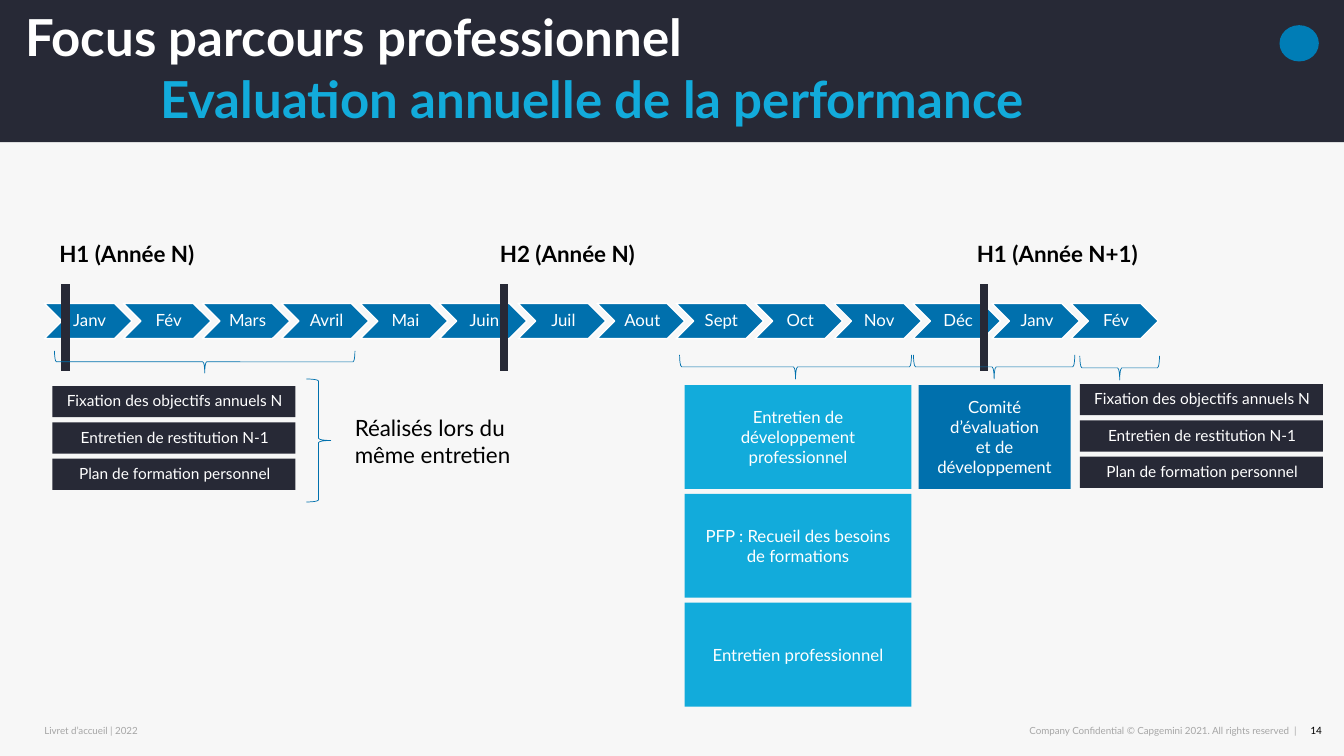
from lxml import etree
from pptx import Presentation
from pptx.dml.color import RGBColor
from pptx.enum.shapes import MSO_CONNECTOR, MSO_SHAPE
from pptx.enum.text import MSO_ANCHOR, MSO_AUTO_SIZE, PP_ALIGN
from pptx.oxml.ns import qn
from pptx.util import Inches, Pt

RECTANGLE, CHEVRON = MSO_SHAPE.RECTANGLE, MSO_SHAPE.CHEVRON
BRACE, OVAL = MSO_SHAPE.RIGHT_BRACE, MSO_SHAPE.OVAL
STRAIGHT = MSO_CONNECTOR.STRAIGHT
LEFT, CENTER, RIGHT = PP_ALIGN.LEFT, PP_ALIGN.CENTER, PP_ALIGN.RIGHT
TOP, MIDDLE = MSO_ANCHOR.TOP, MSO_ANCHOR.MIDDLE
NO_AUTOFIT = MSO_AUTO_SIZE.NONE

COLORS = {
    "navy": "272936", "blue": "0070AD", "sky": "12ABDB", "haze": "ECECEC",
    "logo": "007DB6", "white": "FFFFFF", "black": "000000", "gray": "A6A6A6",
}
WIDTH, HEIGHT = 13.33, 7.5
MONTHS = ["Janv", "Fév", "Mars", "Avril", "Mai", "Juin", "Juil", "Aout",
          "Sept", "Oct", "Nov", "Déc", "Janv", "Fév"]
HALF_YEARS = [("H1 (Année N)", 0.49, 0.65), ("H2 (Année N)", 4.86, 5.0),
              ("H1 (Année N+1)", 9.59, 9.76)]
INTERVIEW_STEPS = ["Fixation des objectifs annuels N", "Entretien de restitution N-1",
                   "Plan de formation personnel"]
AUTUMN_STEPS = ["Entretien de développement professionnel",
                "PFP : Recueil des besoins de formations", "Entretien professionnel"]


def color(name):
    return RGBColor.from_string(COLORS[name])


def write(shape, text, size=12, ink="white", bold=False, align=CENTER, anchor=MIDDLE,
          margins=(0.1, 0.05, 0.1, 0.05), font="Lato", line_spacing=None, space_after=None):
    """Fill a shape with text, one paragraph per line."""
    frame = shape.text_frame
    frame.text = text
    frame.word_wrap = True
    frame.auto_size = NO_AUTOFIT
    frame.vertical_anchor = anchor
    frame.margin_left, frame.margin_top, frame.margin_right, frame.margin_bottom = map(
        Inches, margins)
    for paragraph in frame.paragraphs:
        paragraph.alignment = align
        if line_spacing:
            paragraph.line_spacing = line_spacing
        if space_after:
            paragraph.space_after = Pt(space_after)
        paragraph.font.size = Pt(size)
        paragraph.font.name = font
        paragraph.font.bold = bold
        paragraph.font.color.rgb = color(ink)
    return shape


def add_text(slide, box, text, **style):
    return write(slide.shapes.add_textbox(*map(Inches, box)), text, **style)


def add_block(slide, kind, box, fill=None, line=None, line_width=1):
    shape = slide.shapes.add_shape(kind, *map(Inches, box))
    shape.shadow.inherit = False
    if fill:
        shape.fill.solid()
        shape.fill.fore_color.rgb = color(fill)
    else:
        shape.fill.background()
    if line:
        shape.line.color.rgb = color(line)
        shape.line.width = Pt(line_width)
    else:
        shape.line.fill.background()
    return shape


def add_brace_below(slide, left, top, width, depth):
    """Brace spanning the given width, with its tip pointing down."""
    box = (left + (width - depth) / 2, top + (depth - width) / 2, depth, width)
    add_block(slide, BRACE, box, line="blue", line_width=0.5).rotation = 90


def add_backdrop(slide):
    haze = add_block(slide, RECTANGLE, (0, 0, WIDTH, HEIGHT), "haze")
    haze_color = haze.element.spPr.find(qn("a:solidFill"))[0]
    etree.SubElement(haze_color, qn("a:alpha")).set("val", "40000")


def add_header(slide, left, top, width, height):
    add_block(slide, RECTANGLE, (left, top, width, height), "navy")
    add_block(slide, OVAL, (left + 12.69, top + 0.25, 0.39, 0.36), "logo")
    title = slide.shapes.title
    title.left, title.top = Inches(left + 0.14), Inches(top + 0.05)
    title.width, title.height = Inches(11.51), Inches(1.24)
    write(title, "Focus parcours professionnel\nEvaluation annuelle de la performance",
          size=36.4, bold=True, align=LEFT, anchor=TOP, margins=(0, 0.01, 0, 0))
    first, second = title.text_frame.paragraphs
    second.font.color.rgb = color("sky")
    for paragraph, indent in ((first, 0.11), (second, 1.45)):
        paragraph.space_before = Pt(0)
        properties = paragraph._p.get_or_add_pPr()
        properties.set("marL", str(Inches(indent)))
        properties.set("indent", "0")
    # Bring the title in front of the band
    title.element.getparent().append(title.element)


def add_timeline(slide, left, top, width, height):
    month_width = 0.87
    step = (width - month_width) / (len(MONTHS) - 1)
    for index, month in enumerate(MONTHS):
        box = (left + index * step, top, month_width, height)
        chevron = add_block(slide, CHEVRON, box, "blue", "white")
        write(chevron, month, margins=(0.05, 0.02, 0.02, 0.02),
              line_spacing=0.9, space_after=5)
    # Half-year markers
    for label, label_left, marker in HALF_YEARS:
        add_text(slide, (label_left, top - 0.68, 2.56, 0.37), label, size=16,
                 ink="black", bold=True, align=LEFT, anchor=TOP)
        bar = slide.shapes.add_connector(STRAIGHT, Inches(marker), Inches(top - 0.19),
                                         Inches(marker), Inches(top + 0.67))
        bar.line.color.rgb = color("navy")
        bar.line.width = Pt(6)
        etree.SubElement(bar.element.spPr, qn("a:effectLst"))


def add_interview(slide, left, top):
    for index, step in enumerate(INTERVIEW_STEPS):
        bar = add_block(slide, RECTANGLE, (left, top + index * 0.36, 2.41, 0.31), "navy")
        write(bar, step, size=11, margins=(0.1, 0, 0.08, 0.02))


def add_interview_note(slide, left, top):
    add_block(slide, BRACE, (left, top, 0.24, 1.22), line="blue", line_width=0.5)
    add_text(slide, (left + 0.38, top + 0.3, 2.25, 0.64), "Réalisés lors du même entretien",
             size=16, ink="black", align=LEFT, anchor=TOP)


def add_autumn(slide, left, top):
    for index, step in enumerate(AUTUMN_STEPS):
        box = (left, top + index * 1.08, 2.25, 1.03)
        write(add_block(slide, RECTANGLE, box, "sky"), step)
    committee = add_block(slide, RECTANGLE, (left + 2.32, top, 1.51, 1.03), "blue")
    write(committee, "Comité d’évaluation\net de développement")


def add_footer(slide, top):
    small = {"size": 7, "ink": "gray", "margins": (0, 0, 0, 0)}
    add_text(slide, (0.44, top, 3.73, 0.24), "Livret d’accueil | 2022", align=LEFT, **small)
    add_text(slide, (7.9, top, 4.96, 0.24),
             "Company Confidential © Capgemini 2021. All rights reserved  |",
             align=RIGHT, **small)
    add_text(slide, (12.5, top, 0.61, 0.24), "14", size=8, ink="black", font="Calibri",
             align=RIGHT, anchor=TOP, margins=(0, 0.05, 0, 0.05))


def main():
    presentation = Presentation()
    presentation.slide_width, presentation.slide_height = Inches(WIDTH), Inches(HEIGHT)
    slide = presentation.slides.add_slide(presentation.slide_layouts[5])
    add_backdrop(slide)
    add_header(slide, 0, 0, WIDTH, 1.41)
    add_timeline(slide, 0.44, 3.01, 11.05, 0.35)
    # Periods under the months
    for left, top, width, depth in ((0.54, 3.48, 2.98, 0.22), (6.74, 3.52, 2.3, 0.24),
                                    (9.06, 3.52, 1.6, 0.24), (10.71, 3.53, 0.79, 0.24)):
        add_brace_below(slide, left, top, width, depth)
    add_interview(slide, 0.52, 3.83)
    add_interview_note(slide, 3.04, 3.76)
    add_autumn(slide, 6.79, 3.82)
    add_interview(slide, 10.71, 3.81)
    add_footer(slide, 7.13)
    presentation.save("out.pptx")


if __name__ == "__main__":
    main()
